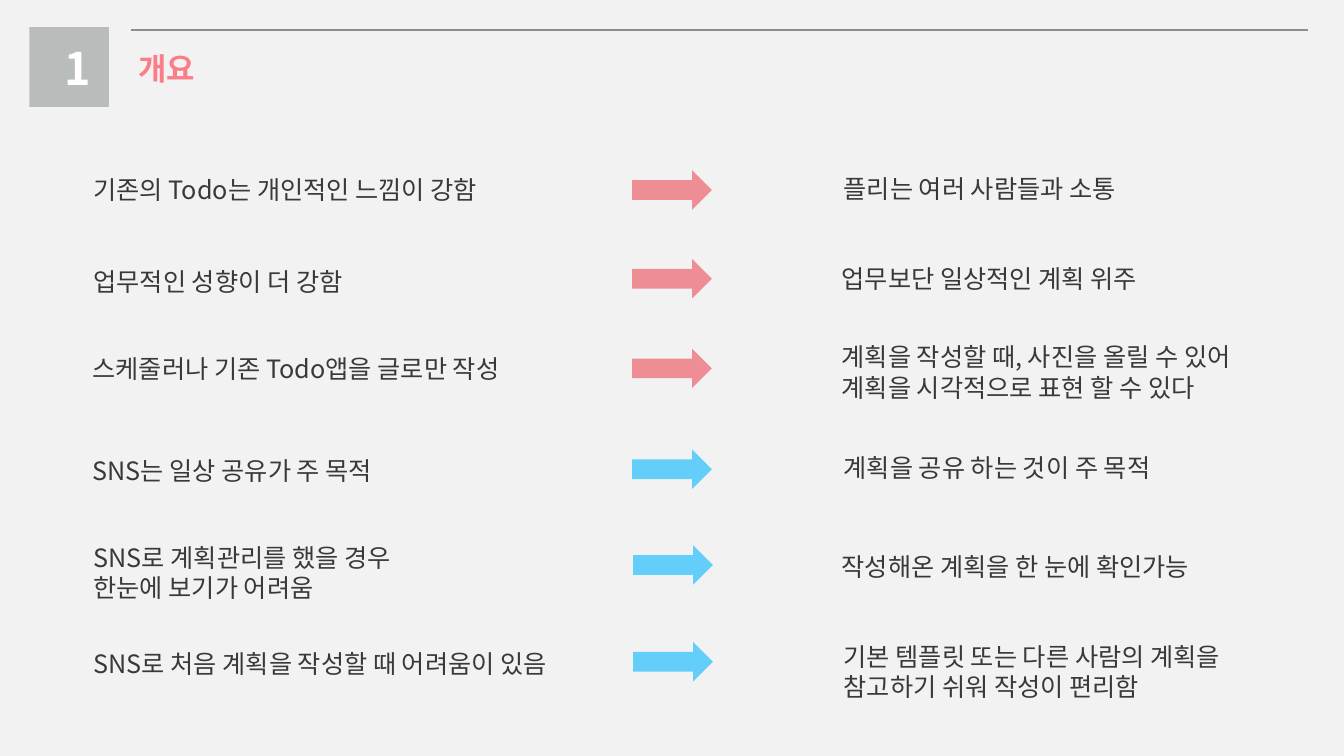
from lxml import etree
from pptx import Presentation
from pptx.dml.color import RGBColor
from pptx.enum.shapes import MSO_CONNECTOR as Connector, MSO_SHAPE as Shape
from pptx.enum.text import MSO_ANCHOR as Anchor, PP_ALIGN as Align
from pptx.oxml.ns import qn
from pptx.util import Inches, Pt

FONT = "Noto Sans CJK KR"
LINE_HEIGHT = 0.31
ARROW_WIDTH, ARROW_HEIGHT = 0.79, 0.39


def paint(color_format, value):
    color_format.rgb = RGBColor.from_string(value)


def write(box, text, size, color, bold=False, align=Align.LEFT, wrap=True):
    frame = box.text_frame
    frame.text = text
    frame.word_wrap = wrap
    frame.vertical_anchor = Anchor.MIDDLE
    for paragraph in frame.paragraphs:
        paragraph.alignment = align
        paragraph.space_before = Pt(0)
        paragraph.line_spacing = Pt(round(size * 1.2, 1))
        for run in paragraph.runs:
            run.font.name = FONT
            run.font.size = Pt(size)
            run.font.bold = bold
            paint(run.font.color, color)
            east_asian = etree.SubElement(run.font._element, qn("a:ea"))
            east_asian.set("typeface", FONT)


deck = Presentation()
deck.slide_width, deck.slide_height = Inches(13.33), Inches(7.5)
slide = deck.slides.add_slide(deck.slide_layouts[5])
slide.background.fill.solid()
paint(slide.background.fill.fore_color, "F2F2F2")

# Header
rule = slide.shapes.add_connector(
    Connector.STRAIGHT, Inches(1.3), Inches(0.3), Inches(12.97), Inches(0.3))
rule.line.width = Pt(1.5)
paint(rule.line.color, "898F8D")
etree.SubElement(rule._element.spPr, qn("a:effectLst"))

badge = slide.shapes.add_shape(
    Shape.RECTANGLE, Inches(0.29), Inches(0.27), Inches(0.79), Inches(0.79))
badge.shadow.inherit = False
badge.fill.solid()
paint(badge.fill.fore_color, "B8BCBB")
badge.line.fill.background()

number = slide.shapes.add_textbox(
    Inches(0.54), Inches(0.35), Inches(0.28), Inches(0.64))
write(number, "1", 32, "FFFFFF", bold=True, align=Align.CENTER)

title = slide.shapes.title
title.left, title.top = Inches(1.27), Inches(0.44)
title.width, title.height = Inches(0.82), Inches(0.47)
write(title, "개요", 22, "FA7D87", bold=True, wrap=False)

# Each statement: left, vertical centre, width, number of lines, text
statements = [
    (0.83, 1.88, 5.64, 1, "기존의 Todo는 개인적인 느낌이 강함"),
    (0.83, 2.79, 5.64, 1, "업무적인 성향이 더 강함"),
    (0.82, 3.66, 4.65, 1, "스케줄러나 기존 Todo앱을 글로만 작성"),
    (0.82, 4.67, 5.64, 1, "SNS는 일상 공유가 주 목적"),
    (0.83, 5.68, 5.64, 2, "SNS로 계획관리를 했을 경우\n한눈에 보기가 어려움"),
    (0.83, 6.58, 5.64, 1, "SNS로 처음 계획을 작성할 때 어려움이 있음"),
    (8.27, 1.87, 4.36, 1, "플리는 여러 사람들과 소통"),
    (8.25, 2.76, 4.36, 1, "업무보단 일상적인 계획 위주"),
    (8.25, 3.69, 4.36, 2, "계획을 작성할 때, 사진을 올릴 수 있어 계획을 시각적으로 표현 할 수 있다"),
    (8.27, 4.64, 4.36, 1, "계획을 공유 하는 것이 주 목적"),
    (8.25, 5.62, 4.36, 1, "작성해온 계획을 한 눈에 확인가능"),
    (8.27, 6.66, 4.36, 2, "기본 템플릿 또는 다른 사람의 계획을 참고하기 쉬워 작성이 편리함"),
]
for left, centre, width, lines, text in statements:
    height = 0.09 + lines * LINE_HEIGHT
    statement = slide.shapes.add_textbox(
        Inches(left), Inches(centre - height / 2), Inches(width), Inches(height))
    write(statement, text, 18, "3A3838")

# Arrows from the old way to the new one
todo_color, sns_color = "ED636D", "29BFFE"
arrows = [
    (6.27, 1.69, todo_color), (6.27, 2.57, todo_color), (6.27, 3.46, todo_color),
    (6.27, 4.46, sns_color), (6.28, 5.41, sns_color), (6.28, 6.37, sns_color),
]
for left, top, color in arrows:
    arrow = slide.shapes.add_shape(
        Shape.RIGHT_ARROW, Inches(left), Inches(top),
        Inches(ARROW_WIDTH), Inches(ARROW_HEIGHT))
    arrow.shadow.inherit = False
    arrow.line.fill.background()
    arrow.fill.solid()
    paint(arrow.fill.fore_color, color)
    solid = arrow._element.spPr.find(qn("a:solidFill"))
    etree.SubElement(solid[0], qn("a:alpha")).set("val", "70000")

deck.save("out.pptx")
